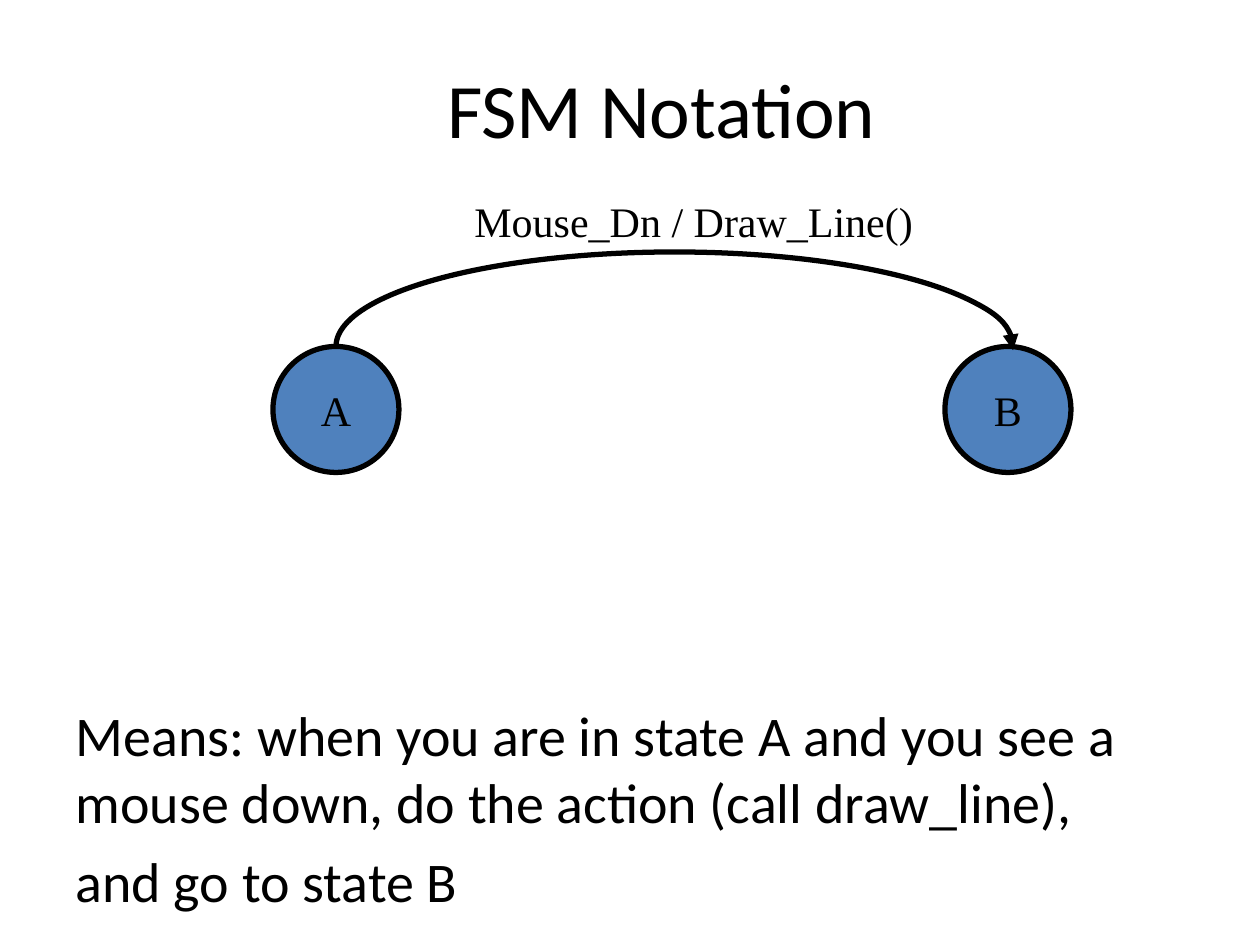
from dataclasses import dataclass

from lxml import etree
from pptx import Presentation
from pptx.dml.color import RGBColor
from pptx.enum import shapes, text
from pptx.oxml import ns
from pptx.util import Pt

BLACK = RGBColor(0x00, 0x00, 0x00)
BLUE = RGBColor(0x4F, 0x81, 0xBD)
SANS = "Calibri"
SERIF = "Times New Roman"
LINE_WIDTH = 3
STATE_SIZE = 72
STATE_TOP = 198
ARC_RISE = 54


@dataclass(frozen=True)
class State:
    name: str
    left: float

    @property
    def center(self) -> float:
        return self.left + STATE_SIZE / 2


def place(shape, left: float, top: float, width: float, height: float) -> None:
    shape.left, shape.top = Pt(left), Pt(top)
    shape.width, shape.height = Pt(width), Pt(height)


def add_span(para, words: str, font: str, size: float) -> None:
    span = para.add_run()
    span.text = words
    span.font.name = font
    span.font.size = Pt(size)
    span.font.color.rgb = BLACK


def outline(shape) -> None:
    shape.shadow.inherit = False
    shape.line.color.rgb = BLACK
    shape.line.width = Pt(LINE_WIDTH)


def draw_state(page, state: State) -> None:
    circle = page.shapes.add_shape(
        shapes.MSO_SHAPE.OVAL, Pt(state.left), Pt(STATE_TOP), Pt(STATE_SIZE), Pt(STATE_SIZE)
    )
    outline(circle)
    circle.fill.solid()
    circle.fill.fore_color.rgb = BLUE
    frame = circle.text_frame
    frame.word_wrap = False
    frame.vertical_anchor = text.MSO_ANCHOR.MIDDLE
    para = frame.paragraphs[0]
    para.alignment = text.PP_ALIGN.CENTER
    add_span(para, state.name, SERIF, 24)


def draw_transition(page, start: State, end: State) -> None:
    width = end.center - start.center + LINE_WIDTH
    arc = page.shapes.add_shape(
        shapes.MSO_SHAPE.ARC, Pt(start.center), Pt(STATE_TOP - ARC_RISE), Pt(width), Pt(2 * ARC_RISE)
    )
    arc.adjustments[0] = 108
    arc.adjustments[1] = 0.38
    outline(arc)
    arc.fill.background()
    line = arc.line.fill._xPr
    etree.SubElement(line, ns.qn("a:tailEnd"), type="triangle")


def draw_label(page, words: str) -> None:
    box = page.shapes.add_textbox(Pt(264), Pt(108), Pt(265), Pt(36))
    box.text_frame.word_wrap = False
    box.text_frame.auto_size = text.MSO_AUTO_SIZE.SHAPE_TO_FIT_TEXT
    add_span(box.text_frame.paragraphs[0], words, SERIF, 24)


def fill_title(title, words: str) -> None:
    place(title, 36, 21.6, 684, 90)
    title.text_frame.auto_size = text.MSO_AUTO_SIZE.NONE
    title.text_frame.vertical_anchor = text.MSO_ANCHOR.MIDDLE
    para = title.text_frame.paragraphs[0]
    para.alignment = text.PP_ALIGN.CENTER
    para.line_spacing = 0.8
    add_span(para, words, SANS, 44)


def fill_body(body, lines: list[str]) -> None:
    place(body, 36, 126, 684, 396)
    frame = body.text_frame
    frame.auto_size = text.MSO_AUTO_SIZE.NONE
    frame.vertical_anchor = text.MSO_ANCHOR.BOTTOM
    frame.margin_bottom = Pt(0)
    for index, words in enumerate(lines):
        para = frame.add_paragraph() if index else frame.paragraphs[0]
        para.space_before = Pt(6.4)
        properties = para._p.get_or_add_pPr()
        properties.set("marL", "0")
        properties.set("indent", "0")
        etree.SubElement(properties, ns.qn("a:buNone"))
        add_span(para, words, SANS, 32)


def main() -> None:
    deck = Presentation()
    deck.slide_width, deck.slide_height = Pt(720), Pt(540)
    page = deck.slides.add_slide(deck.slide_layouts[1])
    fill_title(page.shapes.title, "FSM Notation")
    fill_body(
        page.placeholders[1],
        [
            "Means: when you are in state A and you see a mouse down, "
            "do the action (call draw_line),",
            "and go to state B",
        ],
    )
    state_a, state_b = State("A", 156), State("B", 540)
    for state in (state_b, state_a):
        draw_state(page, state)
    draw_transition(page, state_a, state_b)
    draw_label(page, "Mouse_Dn / Draw_Line()")
    deck.save("out.pptx")


if __name__ == "__main__":
    main()
